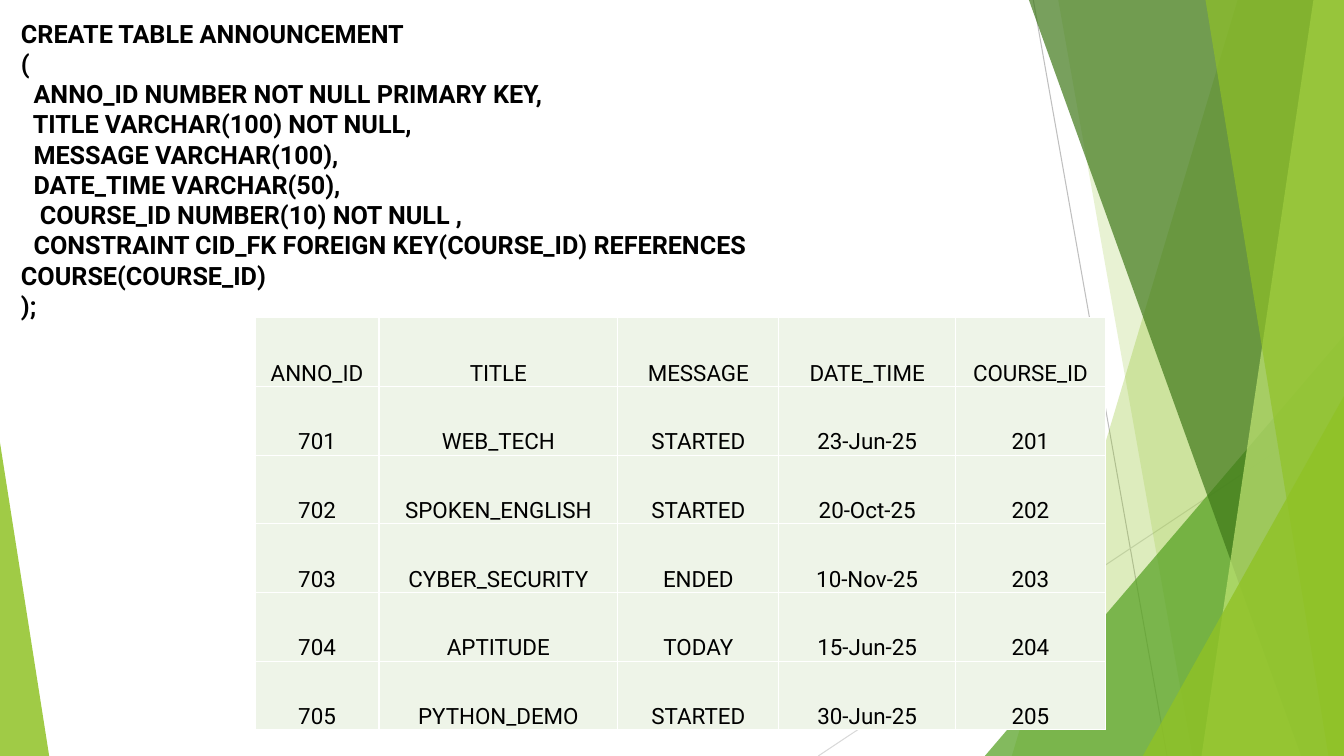
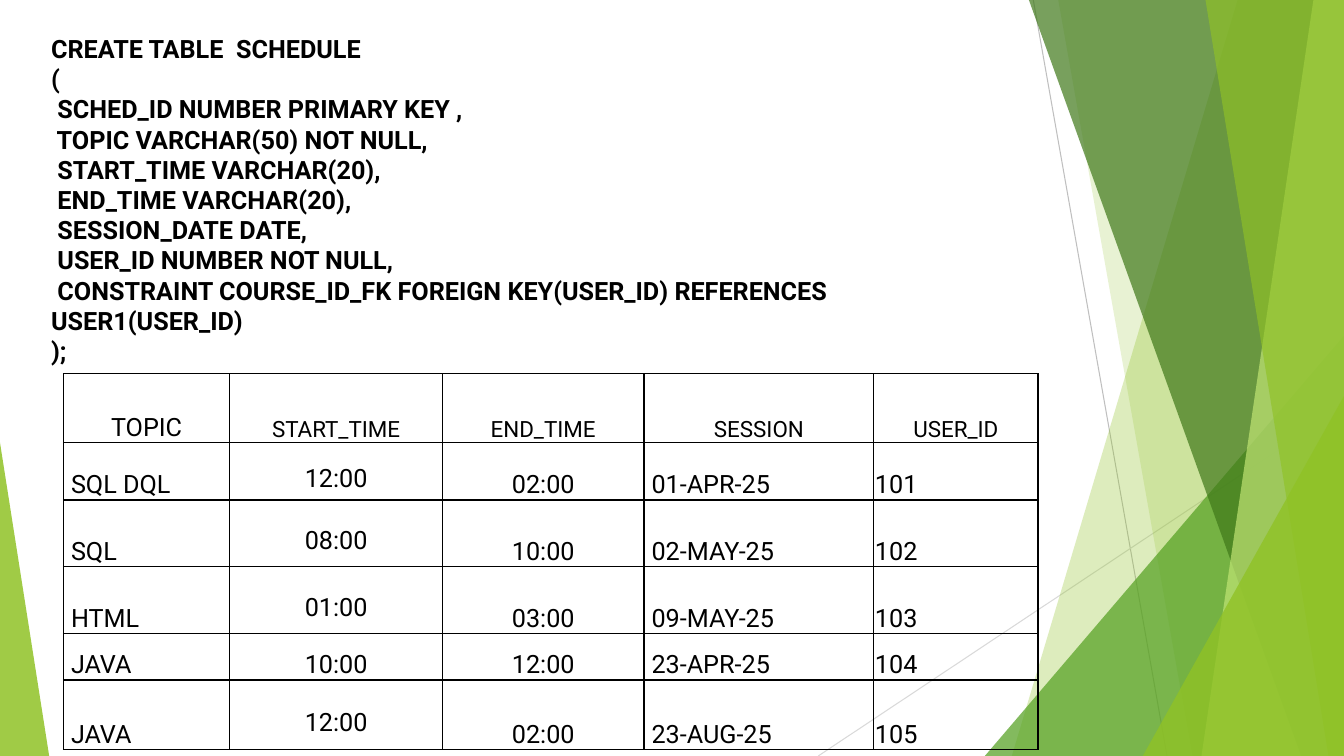
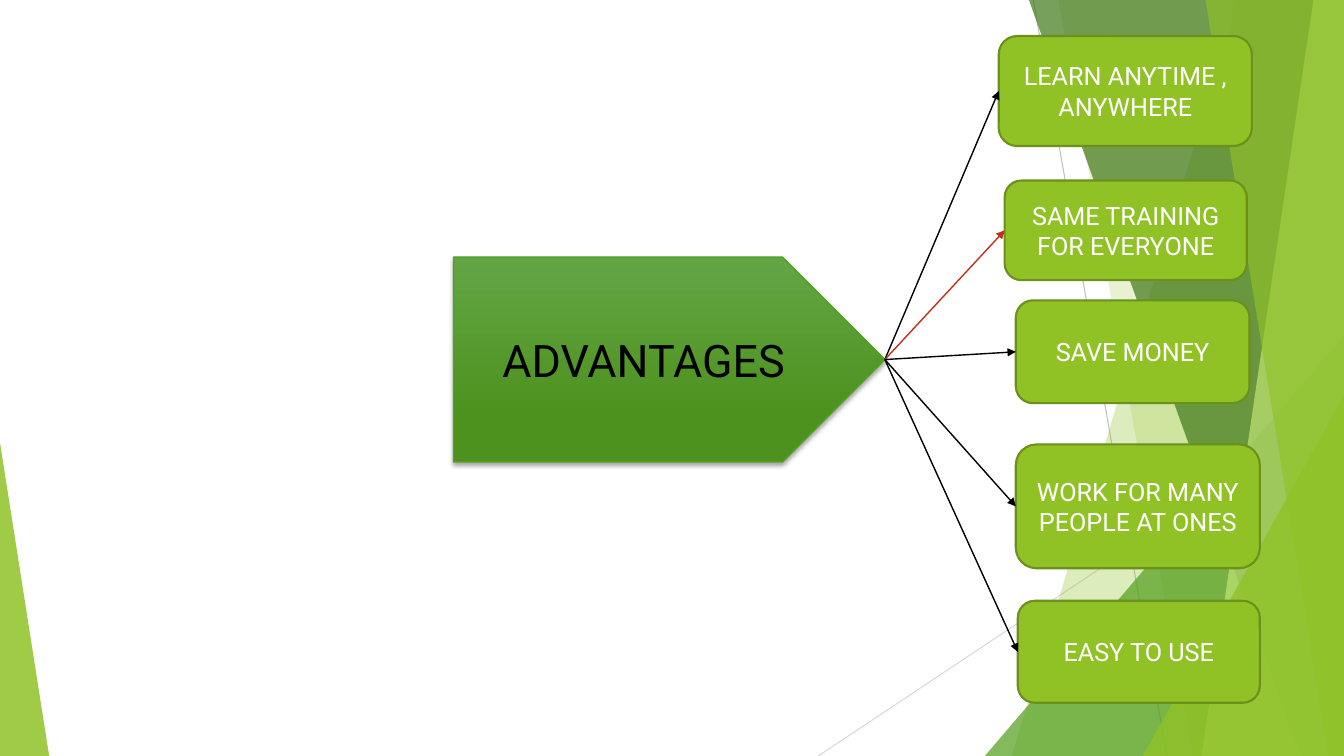
from dataclasses import dataclass

from lxml.etree import SubElement
from pptx import Presentation
from pptx.dml.color import RGBColor
from pptx.enum.shapes import MSO_CONNECTOR as Link, MSO_SHAPE as Shape
from pptx.enum.text import MSO_ANCHOR as Anchor, MSO_AUTO_SIZE as Fit, PP_ALIGN as Align
from pptx.oxml.ns import qn
from pptx.util import Cm, Pt


@dataclass(frozen=True)
class Theme:
    font: str = "Roboto"
    body: int = 18
    small: int = 16
    large: int = 32
    black: str = "000000"
    white: str = "FFFFFF"
    lime: str = "90C226"
    olive: str = "6B901C"
    pale: str = "C0E474"
    green: str = "54A021"
    dark: str = "3F7819"
    mint: str = "EEF4E8"
    red: str = "C42F1A"
    gray: str = "BFBFBF"
    silver: str = "D9D9D9"
    glow: tuple = ("63A545", "4D921E")


@dataclass(frozen=True)
class Column:
    width: float
    align: Align = Align.CENTER
    anchor: Anchor = Anchor.BOTTOM
    spacing: float = 1.0
    indent: float = 0.03
    head: int = 16


T = Theme()
WIDE, HIGH = 33.87, 19.05

ANNO_SQL = """CREATE TABLE ANNOUNCEMENT
(
  ANNO_ID NUMBER NOT NULL PRIMARY KEY,
  TITLE VARCHAR(100) NOT NULL,
  MESSAGE VARCHAR(100),
  DATE_TIME VARCHAR(50),
   COURSE_ID NUMBER(10) NOT NULL ,
  CONSTRAINT CID_FK FOREIGN KEY(COURSE_ID) REFERENCES COURSE(COURSE_ID)
);"""

ANNO_ROWS = [
    ("ANNO_ID", "TITLE", "MESSAGE", "DATE_TIME", "COURSE_ID"),
    ("701", "WEB_TECH", "STARTED", "23-Jun-25", "201"),
    ("702", "SPOKEN_ENGLISH", "STARTED", "20-Oct-25", "202"),
    ("703", "CYBER_SECURITY", "ENDED", "10-Nov-25", "203"),
    ("704", "APTITUDE", "TODAY", "15-Jun-25", "204"),
    ("705", "PYTHON_DEMO", "STARTED", "30-Jun-25", "205"),
]
ANNO_COLS = [Column(width) for width in (3.12, 6.02, 4.06, 4.45, 3.78)]

SCHED_SQL = """CREATE TABLE  SCHEDULE
(
 SCHED_ID NUMBER PRIMARY KEY ,
 TOPIC VARCHAR(50) NOT NULL,
 START_TIME VARCHAR(20),
 END_TIME VARCHAR(20),
 SESSION_DATE DATE,
 USER_ID NUMBER NOT NULL,
 CONSTRAINT COURSE_ID_FK FOREIGN KEY(USER_ID) REFERENCES USER1(USER_ID)
);"""

SCHED_ROWS = [
    ("TOPIC", "START_TIME", "END_TIME", "SESSION", "USER_ID"),
    ("SQL DQL", "12:00", "02:00", "01-APR-25", "101"),
    ("SQL", "08:00", "10:00", "02-MAY-25", "102"),
    ("HTML", "01:00", "03:00", "09-MAY-25", "103"),
    ("JAVA", "10:00", "12:00", "23-APR-25", "104"),
    ("JAVA", "12:00", "02:00", "23-AUG-25", "105"),
]
SCHED_COLS = [
    Column(4.19, Align.LEFT, indent=0.19, head=T.body),
    Column(5.36, anchor=Anchor.MIDDLE, spacing=1.5),
    Column(5.08, spacing=1.5),
    Column(5.79, Align.LEFT, indent=0.19),
    Column(4.14, Align.LEFT),
]

# text, left, top, width, height, arrow colour
GAINS = [
    ("LEARN ANYTIME ,\nANYWHERE", 25.17, 0.91, 6.38, 2.77, T.black),
    ("SAME TRAINING FOR EVERYONE", 25.32, 4.55, 6.1, 2.51, T.red),
    ("SAVE MONEY", 25.6, 7.57, 5.89, 2.59, T.black),
    ("WORK FOR MANY PEOPLE AT ONES", 25.6, 11.2, 6.15, 3.12, T.black),
    ("EASY TO USE", 25.65, 15.14, 6.1, 2.57, T.black),
]


def rgb(code):
    return RGBColor.from_string(code)


def cms(*sizes):
    return [Cm(size) for size in sizes]


def write(frame, text, size, color, align=Align.LEFT, bold=False, spacing=None):
    frame.text = text
    for para in frame.paragraphs:
        para.alignment = align
        para.line_spacing = spacing
        font = para.font
        font.name, font.size, font.bold = T.font, Pt(size), bold
        font.color.rgb = rgb(color)


def glass(shape, color, alpha):
    """Give a shape a see-through fill and no outline."""
    shape.shadow.inherit = False
    shape.line.fill.background()
    shape.fill.solid()
    shape.fill.fore_color.rgb = rgb(color)
    tint = shape.element.spPr.find(f"{qn('a:solidFill')}/{qn('a:srgbClr')}")
    SubElement(tint, qn("a:alpha"), val=str(alpha * 1000))


def band(slide, top, foot, color, alpha):
    """Fill from a slanted edge to the right side of the page."""
    draft = slide.shapes.build_freeform(Cm(top), 0)
    corners = [(WIDE, 0), (WIDE, HIGH), (foot, HIGH)]
    draft.add_line_segments([cms(*spot) for spot in corners])
    glass(draft.convert_to_shape(), color, alpha)


def wedge(slide, left, top, width, apex, color, alpha):
    """Draw a right triangle that stands on the foot of the page."""
    shape = slide.shapes.add_shape(
        Shape.ISOSCELES_TRIANGLE, *cms(left, top, width, HIGH - top))
    shape.adjustments[0] = apex
    glass(shape, color, alpha)


def line(slide, ends, color, weight):
    link = slide.shapes.add_connector(Link.STRAIGHT, *cms(*ends))
    link.line.color.rgb = rgb(color)
    link.line.width = Pt(weight)
    SubElement(link.element.spPr, qn("a:effectLst"))
    return link


def arrow(slide, start, end, color):
    link = line(slide, (0, 0, 1, 1), color, 1)
    link.begin_connect(start, 3)
    link.end_connect(end, 1)
    SubElement(link.line._get_or_add_ln(), qn("a:tailEnd"), type="triangle")


def backdrop(slide):
    """Draw the shared facets and move them to the slide's layout."""
    line(slide, (26.04, 0, 29.41, HIGH), T.gray, 0.75)
    line(slide, (WIDE, 10.24, 20.62, HIGH), T.silver, 0.75)
    band(slide, 31.19, 25.5, T.lime, 30)
    band(slide, 26.67, 30.05, T.lime, 20)
    wedge(slide, 24.82, 8.46, WIDE - 24.82, 1, T.green, 72)
    band(slide, 25.93, 32.79, T.dark, 70)
    band(slide, 33.1, 30.28, T.pale, 70)
    band(slide, 30.38, 33.48, T.lime, 65)
    wedge(slide, 28.8, 9.98, WIDE - 28.8, 1, T.lime, 80)
    wedge(slide, 0, 11.15, 1.24, 0, T.lime, 85)
    layout = slide.slide_layout
    for holder in list(layout.placeholders):
        layout.shapes.element.remove(holder.element)
    for shape in list(slide.shapes):
        layout.shapes.element.append(shape.element)


def code(slide, text, *place):
    frame = slide.shapes.add_textbox(*cms(*place)).text_frame
    frame.word_wrap = True
    frame.auto_size = Fit.SHAPE_TO_FIT_TEXT
    write(frame, text, T.body, T.black, bold=True)


def border(cell, color):
    props = cell._tc.get_or_add_tcPr()
    for spot, side in enumerate(("lnL", "lnR", "lnT", "lnB")):
        edge = SubElement(props, qn(f"a:{side}"), w=str(Pt(1)))
        SubElement(SubElement(edge, qn("a:solidFill")), qn("a:srgbClr"), val=color)
        props.insert(spot, edge)


def grid(slide, rows, cols, heights, left, top, size, edge, fill=None):
    width = sum(col.width for col in cols)
    table = slide.shapes.add_table(
        len(rows), len(cols), *cms(left, top, width, sum(heights))).table
    table.first_row = table.horz_banding = False
    for col, spec in zip(table.columns, cols):
        col.width = Cm(spec.width)
    for index, (row, height) in enumerate(zip(rows, heights)):
        table.rows[index].height = Cm(height)
        for cell, spec, text in zip(table.rows[index].cells, cols, row):
            look = spec if index else Column(spec.width)
            cell.vertical_anchor = look.anchor
            cell.margin_left = Cm(look.indent)
            cell.margin_right = cell.margin_top = Cm(0.03)
            cell.margin_bottom = 0
            if fill:
                cell.fill.solid()
                cell.fill.fore_color.rgb = rgb(fill)
            else:
                cell.fill.background()
            border(cell, edge)
            write(cell.text_frame, text, size if index else spec.head, T.black,
                  look.align, spacing=look.spacing)


def block(slide, kind, text, place, size, color, edge, weight):
    shape = slide.shapes.add_shape(kind, *cms(*place))
    shape.shadow.inherit = False
    shape.line.color.rgb = rgb(edge)
    shape.line.width = Pt(weight)
    shape.text_frame.vertical_anchor = Anchor.MIDDLE
    write(shape.text_frame, text, size, color, Align.CENTER)
    return shape


def plate(slide, text, *place):
    """Draw the shaded pointer that the arrows start from."""
    shape = block(slide, Shape.PENTAGON, text, place, T.large, T.black, T.green, 1)
    shape.fill.gradient()
    shape.fill.gradient_angle = 270
    for stop, color, spot in zip(shape.fill.gradient_stops, T.glow, (0, 0.78)):
        stop.color.rgb = rgb(color)
        stop.position = spot
    effects = shape.element.spPr.find(qn("a:effectLst"))
    shade = SubElement(effects, qn("a:outerShdw"), blurRad=str(Pt(3)),
                       dist=str(Pt(2)), dir="5400000", rotWithShape="0")
    tint = SubElement(shade, qn("a:srgbClr"), val=T.black)
    SubElement(tint, qn("a:alpha"), val="35000")
    return shape


def gains(slide):
    boxes = []
    for text, *place, _ in GAINS:
        box = block(slide, Shape.FLOWCHART_ALTERNATE_PROCESS, text, place,
                    T.body, T.white, T.olive, 1.5)
        box.fill.solid()
        box.fill.fore_color.rgb = rgb(T.lime)
        boxes.append(box)
    hub = plate(slide, "ADVANTAGES", 11.43, 6.48, 10.87, 5.16)
    for box, (*_, color) in zip(boxes, GAINS):
        arrow(slide, hub, box, color)


def main():
    deck = Presentation()
    deck.slide_width, deck.slide_height = cms(WIDE, HIGH)
    blank = deck.slide_layouts[6]
    anno, sched, pros = [deck.slides.add_slide(blank) for _ in range(3)]
    backdrop(anno)

    code(anno, ANNO_SQL, 0.28, 0.33, 22.83, 7.95)
    grid(anno, ANNO_ROWS, ANNO_COLS, [1.73] * 6, 6.43, 8.01, T.small, T.white, T.mint)

    code(sched, SCHED_SQL, 1.04, 0.71, 20.47, 8.71)
    heights = [1.73, 1.45, 1.68, 1.68, 1.17, 1.75]
    grid(sched, SCHED_ROWS, SCHED_COLS, heights, 1.6, 9.42, T.body, T.black)

    gains(pros)
    deck.save("out.pptx")


if __name__ == "__main__":
    main()
